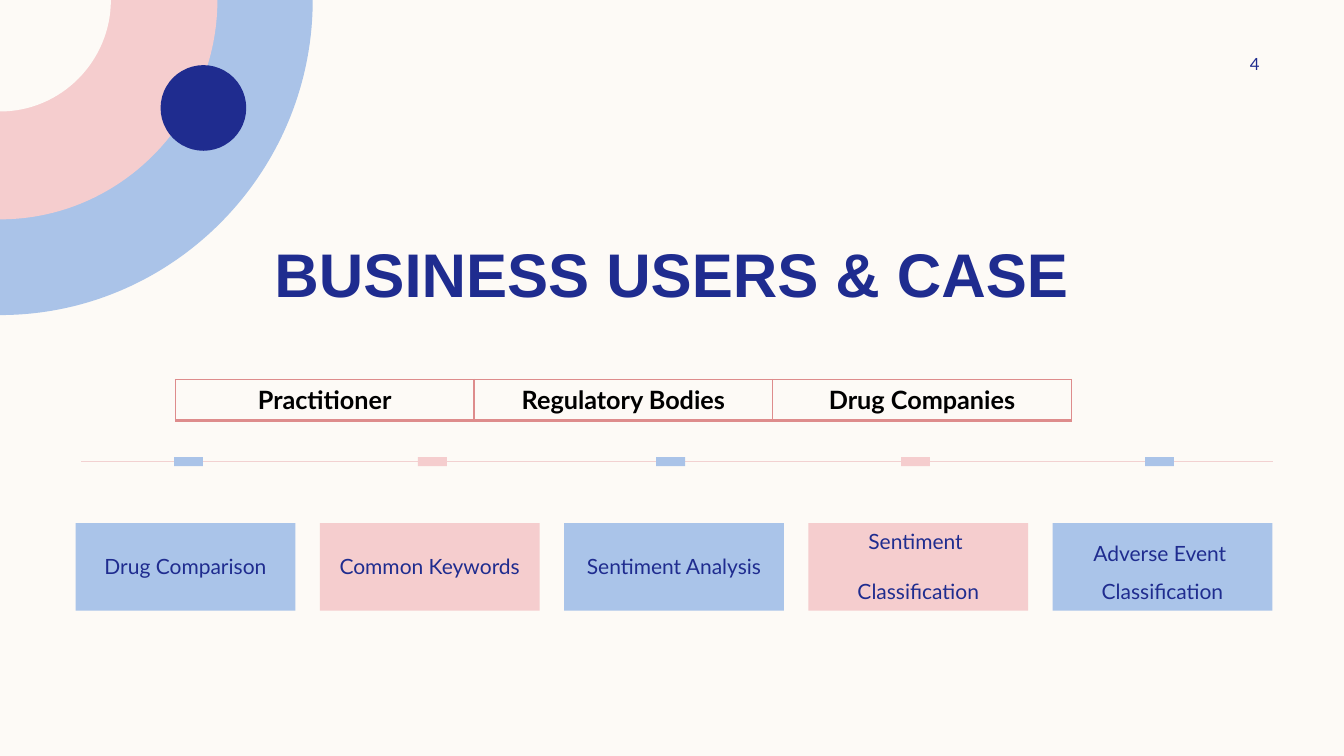
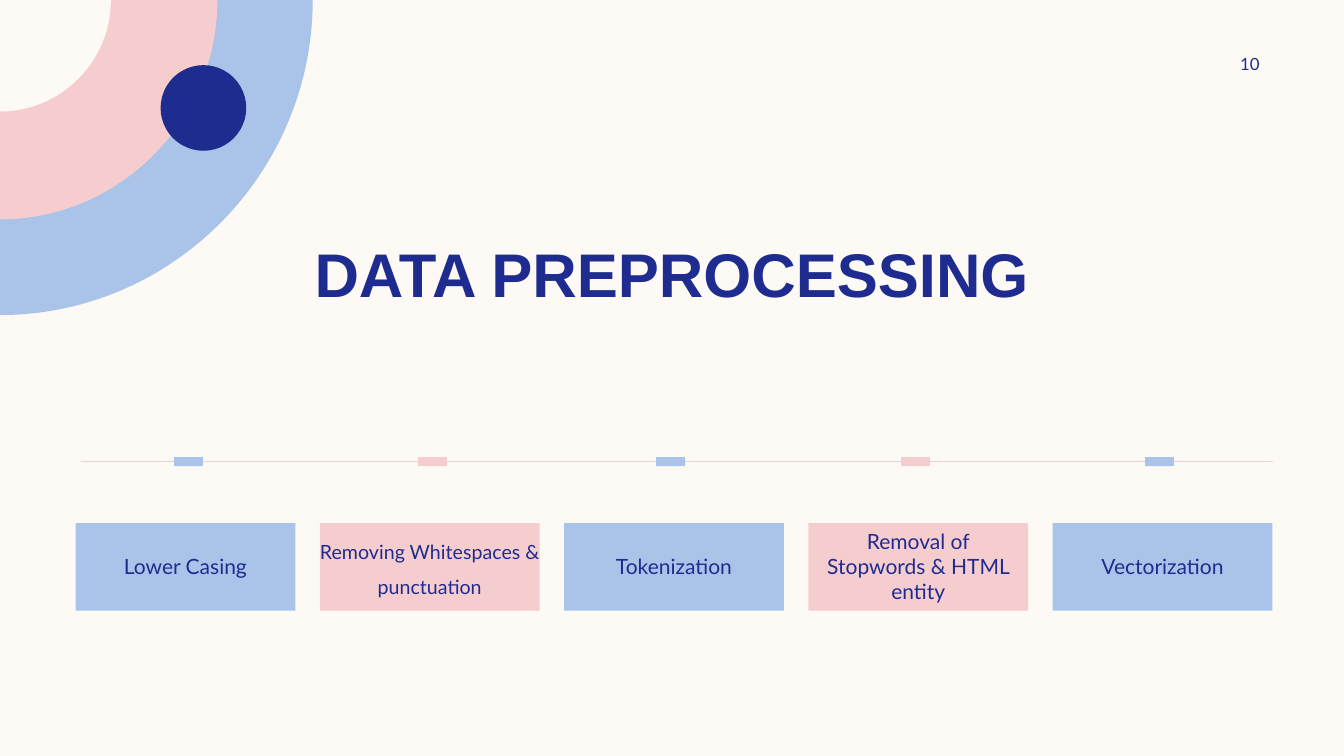
"""Build two process slides that share one layout with arcs, a time line and five cards."""
import copy

import lxml.etree
import pptx
import pptx.dml.color
import pptx.enum.shapes
import pptx.enum.text
import pptx.oxml.ns
import pptx.util

NAVY, BLUE, PINK, CREAM = "1F2C8F", "AAC3E8", "F5CDCE", "FDFAF6"
CARD, RULE, EDGE, BLACK = "AAC4E9", "F2D1D1", "DE8C8C", "000000"
BEND = 0.55
hue = pptx.dml.color.RGBColor.from_string
name = pptx.oxml.ns.qn
kind = pptx.enum.shapes.MSO_SHAPE
align = pptx.enum.text.PP_ALIGN
anchor = pptx.enum.text.MSO_ANCHOR

deck = pptx.Presentation()
deck.slide_width = pptx.util.Inches(13.33)
deck.slide_height = pptx.util.Inches(7.5)
unit = deck.slide_width / 40


def span(*cells):
    """Turn counts of grid cells, forty to the slide's width, into lengths."""
    return [round(cell * unit) for cell in cells]


def write(frame, lines, size, font="Lato", shade=NAVY, bold=False, side=align.CENTER):
    """Write pairs of text and line spacing as paragraphs without bullets."""
    for row, (text, gap) in enumerate(lines):
        para = frame.add_paragraph() if row else frame.paragraphs[0]
        para.alignment = side
        para.line_spacing = gap
        para.space_before = pptx.util.Pt(0)
        props = para._p.get_or_add_pPr()
        props.set("marL", "0")
        props.set("indent", "0")
        lxml.etree.SubElement(props, name("a:buNone"))
        run = para.add_run()
        run.text = text
        run.font.size = pptx.util.Pt(size)
        run.font.name = font
        run.font.bold = bold
        run.font.color.rgb = hue(shade)


pages = [
    ("BUSINESS USERS & CASE", "4", [
        (15, [("Drug Comparison", 2.0)]),
        (15, [("Common Keywords", 2.0)]),
        (15, [("Sentiment Analysis", 2.0)]),
        (15, [("Sentiment ", 1.0), ("Classification", 2.0)]),
        (15, [("Adverse Event ", 1.5), ("Classification", 1.5)]),
    ], ["Practitioner", "Regulatory Bodies", "Drug Companies"]),
    ("DATA PREPROCESSING", "10", [
        (15, [("Lower Casing", 2.0)]),
        (14, [("Removing Whitespaces & punctuation", 1.5)]),
        (15, [("Tokenization", 2.0)]),
        (15, [("Removal of", 1.0), ("Stopwords & HTML entity", 1.0)]),
        (15, [("Vectorization", 2.0)]),
    ], []),
]

fill = deck.slide_master.background.fill
fill.solid()
fill.fore_color.rgb = hue(CREAM)

base = deck.slide_layouts[1]
tree = base.element.cSld.spTree
for item in list(base.placeholders):
    if item.placeholder_format.idx >= 10:
        tree.remove(item.element)
body = base.placeholders[1].element
for num in range(20, 24):
    twin = copy.deepcopy(body)
    twin.xpath(".//p:ph")[0].set("idx", str(num))
    twin.xpath(".//p:cNvPr")[0].set("id", str(num))
    tree.append(twin)
spots = [(2.5, 2.38, 35, 7)] + [(2.25 + 7.27 * col, 15.57, 6.54, 2.61) for col in range(5)]
for item, spot in zip(base.placeholders, spots):
    item.left, item.top, item.width, item.height = span(*spot)

slides = [deck.slides.add_slide(base) for page in pages]

shapes = slides[0].shapes
art = []
for wide, high, shade in [(9.31, 9.38, BLUE), (6.47, 6.53, PINK), (3.3, 3.32, CREAM)]:
    pen = shapes.build_freeform(0, 0)
    pen.add_line_segments([
        span(wide, 0), span(wide, BEND * high), span(BEND * wide, high), span(0, high)])
    disc = pen.convert_to_shape()
    legs = disc.element.xpath(".//a:lnTo")
    curve = lxml.etree.Element(name("a:cubicBezTo"))
    legs[0].addnext(curve)
    for leg in legs[1:4]:
        curve.append(leg[0])
        leg.getparent().remove(leg)
    art.append((disc, shade))
art.append((shapes.add_shape(kind.OVAL, *span(4.78, 1.94, 2.55, 2.55)), NAVY))
line = shapes.add_connector(
    pptx.enum.shapes.MSO_CONNECTOR.STRAIGHT, *span(2.42, 13.74, 37.89, 13.74))
line.line.color.rgb = hue(RULE)
line.line.width = pptx.util.Pt(1)
lxml.etree.SubElement(line.element.spPr, name("a:effectLst"))
art.append((line, None))
for col, mid in enumerate([5.61, 12.87, 19.96, 27.25, 34.51]):
    tick = shapes.add_shape(kind.RECTANGLE, *span(mid - 0.43, 13.61, 0.86, 0.27))
    art.append((tick, PINK if col % 2 else BLUE))
for step, (item, shade) in enumerate(art):
    if shade:
        item.fill.solid()
        item.fill.fore_color.rgb = hue(shade)
        item.line.fill.background()
        item.shadow.inherit = False
    item.element.xpath(".//p:cNvPr")[0].set("id", str(50 + step))
    tree.insert(2 + step, item.element)

for slide, (title, count, cards, heads) in zip(slides, pages):
    head = slide.shapes.title.text_frame
    head.vertical_anchor = anchor.BOTTOM
    head.auto_size = pptx.enum.text.MSO_AUTO_SIZE.NONE
    write(head, [(title, 1.0)], 44, "Arial", bold=True)

    label = slide.shapes.add_textbox(*span(34.24, 1.5, 3.25, 0.81)).text_frame
    label.word_wrap = True
    label.vertical_anchor = anchor.MIDDLE
    label.margin_right = 0
    write(label, [(count, 1.0)], 12, side=align.RIGHT)

    for col, (size, lines) in enumerate(cards):
        card = list(slide.placeholders)[1 + col]
        card.fill.solid()
        card.fill.fore_color.rgb = hue(PINK if col % 2 else CARD)
        frame = card.text_frame
        frame.margin_left = frame.margin_right = 0
        frame.vertical_anchor = anchor.TOP
        frame.auto_size = pptx.enum.text.MSO_AUTO_SIZE.NONE
        write(frame, lines, size)

    if heads:
        table = slide.shapes.add_table(
            1, len(heads), *span(5.22, 11.3, 26.67, 1.22)).table
        table.first_row = table.horz_banding = False
        for cell, text in zip(table.iter_cells(), heads):
            cell.fill.background()
            write(cell.text_frame, [(text, 1.0)], 18, shade=BLACK, bold=True)
            props = cell._tc.get_or_add_tcPr()
            for place, (side, thick) in enumerate([("L", 1), ("R", 1), ("T", 1), ("B", 2)]):
                edge = lxml.etree.Element(name("a:ln" + side), w=str(pptx.util.Pt(thick)))
                solid = lxml.etree.SubElement(edge, name("a:solidFill"))
                lxml.etree.SubElement(solid, name("a:srgbClr"), val=EDGE)
                props.insert(place, edge)

deck.save("out.pptx")
